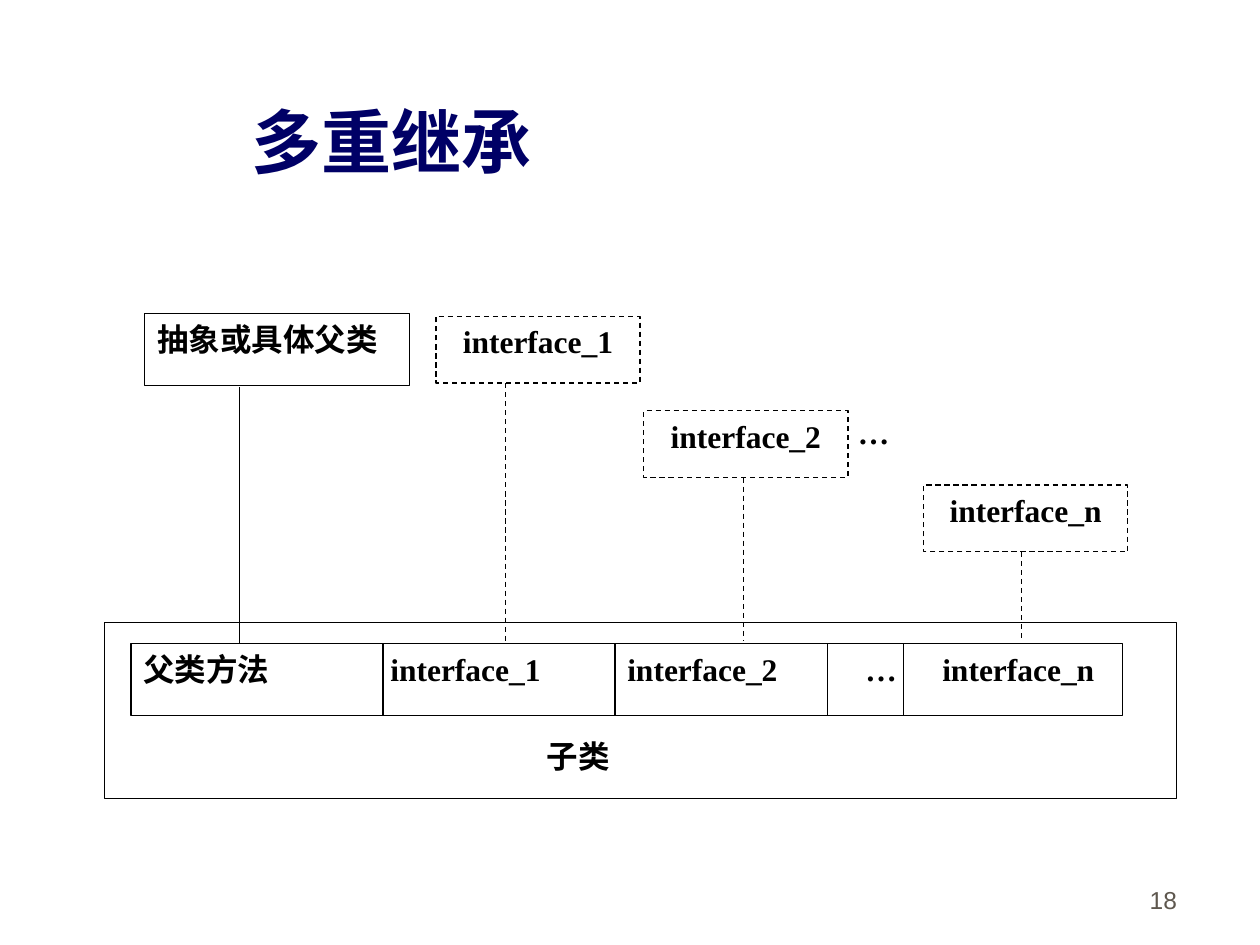
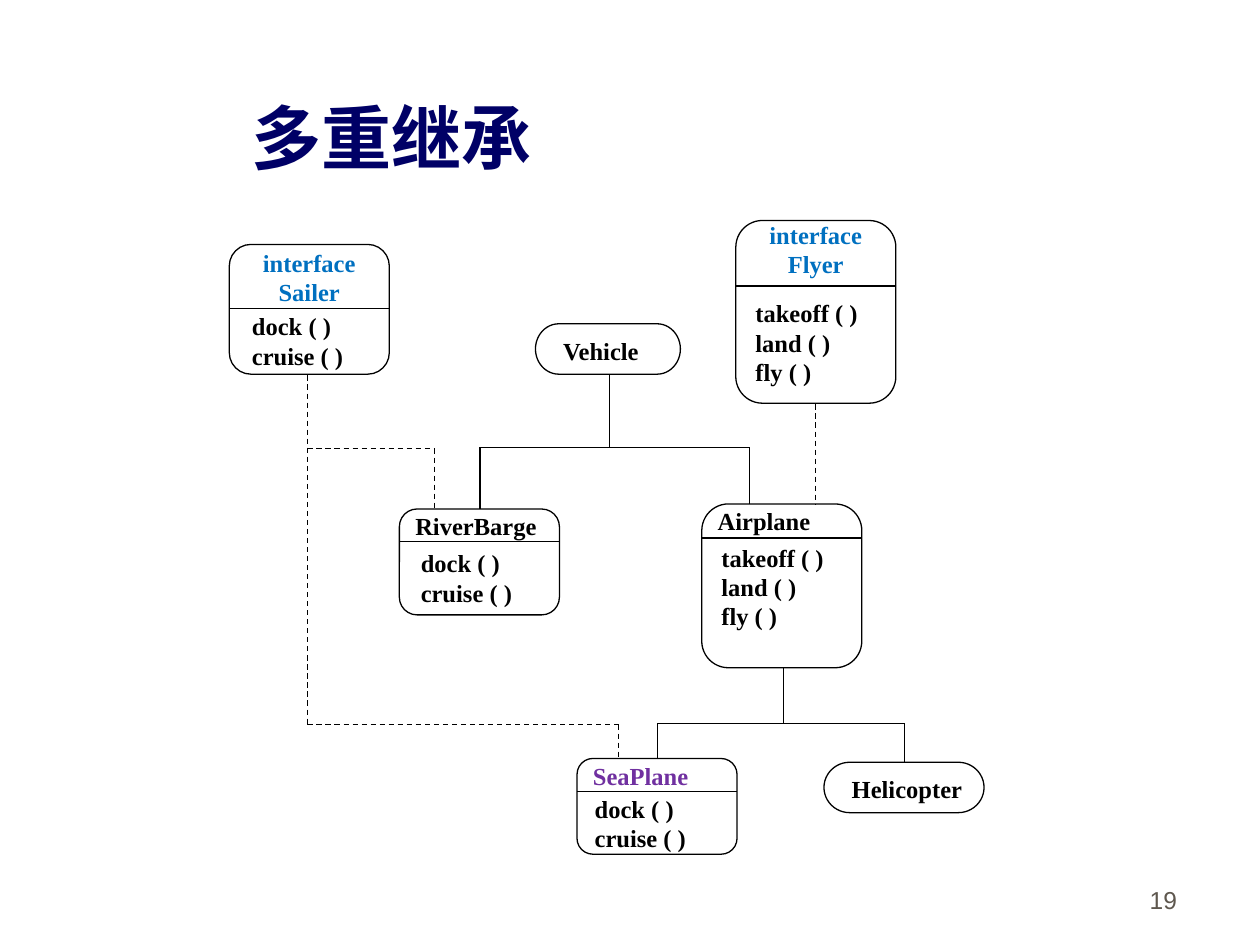
from dataclasses import dataclass

from lxml import etree
from pptx import Presentation
from pptx import util as u
from pptx.dml.color import RGBColor
from pptx.enum import dml, shapes, text
from pptx.oxml import ns

COLUMNS, ROWS = 100, 75  # slide grid


@dataclass(frozen=True)
class Theme:
    navy: str = "000066"
    ink: str = "000000"
    paper: str = "FFFFFF"
    blue: str = "0070C0"
    purple: str = "7030A0"
    grey: str = "5E574E"
    serif: str = "Times New Roman"
    sans: str = "Arial"
    display: str = "Montserrat"
    title_size: int = 40
    label_size: int = 18
    class_size: int = 14
    rule: float = 0.75


@dataclass(frozen=True)
class Box:
    """An area in columns and rows of the slide grid."""
    x: float
    y: float
    w: float
    h: float

    def inner(self, x, y, w, h):
        return Box(self.x + x, self.y + y, w, h)

    def point(self, x, y):
        return self.x + x, self.y + y


THEME = Theme()
RECT = shapes.MSO_SHAPE.RECTANGLE
ROUNDED = shapes.MSO_SHAPE.FLOWCHART_ALTERNATE_PROCESS
PILL = shapes.MSO_SHAPE.FLOWCHART_TERMINATOR
LEFT, CENTER, RIGHT, JUSTIFY = (text.PP_ALIGN.LEFT, text.PP_ALIGN.CENTER,
                                text.PP_ALIGN.RIGHT, text.PP_ALIGN.JUSTIFY)

deck = Presentation()
deck.slide_width, deck.slide_height = u.Inches(10), u.Inches(7.5)
COLUMN, ROW = deck.slide_width / COLUMNS, deck.slide_height / ROWS


def emu(box):
    return [u.Emu(round(length)) for length in
            (box.x * COLUMN, box.y * ROW, box.w * COLUMN, box.h * ROW)]


def style_line(line, dashed=False):
    line.color.rgb = RGBColor.from_string(THEME.ink)
    line.width = u.Pt(THEME.rule)
    if dashed:
        line.dash_style = dml.MSO_LINE.DASH


def write(holder, lines, size=THEME.label_size, color=THEME.ink,
          font=THEME.serif, bold=True, align=JUSTIFY,
          anchor=text.MSO_ANCHOR.TOP):
    frame = holder.text_frame
    frame.word_wrap = True
    frame.vertical_anchor = anchor
    for number, line in enumerate(lines):
        paragraph = frame.add_paragraph() if number else frame.paragraphs[0]
        paragraph.alignment = align
        run = paragraph.add_run()
        run.text = line
        run.font.name, run.font.size, run.font.bold = font, u.Pt(size), bold
        run.font.color.rgb = RGBColor.from_string(color)


def label(slide, box, lines, **style):
    write(slide.shapes.add_textbox(*emu(box)), lines, **style)


def outline(slide, kind, box, fill=None, lined=True, dashed=False):
    area = slide.shapes.add_shape(kind, *emu(box))
    area.shadow.inherit = False
    if fill:
        area.fill.solid()
        area.fill.fore_color.rgb = RGBColor.from_string(fill)
    else:
        area.fill.background()
    if lined:
        style_line(area.line, dashed)
    else:
        area.line.fill.background()
    return area


def route(slide, *points, dashed=False):
    """Straight connectors from each point to the next."""
    for (x1, y1), (x2, y2) in zip(points, points[1:]):
        link = slide.shapes.add_connector(
            shapes.MSO_CONNECTOR.STRAIGHT,
            *emu(Box(x1, y1, x2, y2)))
        style_line(link.line, dashed)
        etree.SubElement(link._element.spPr, ns.qn("a:effectLst"))


def set_tabs(paragraph, stops):
    tabs = etree.SubElement(paragraph._p.get_or_add_pPr(), ns.qn("a:tabLst"))
    for stop in stops:
        etree.SubElement(tabs, ns.qn("a:tab"), pos=str(round(stop * COLUMN)),
                         algn="l")


def new_slide(number, title_box, title_font):
    slide = deck.slides.add_slide(deck.slide_layouts[6])
    label(slide, Box(73.6, 68.1, 20.8, 5), [number], size=THEME.class_size,
          color=THEME.grey, font=THEME.sans, bold=False, align=RIGHT,
          anchor=text.MSO_ANCHOR.BOTTOM)
    label(slide, title_box, ["多重继承"], size=THEME.title_size,
          color=THEME.navy, font=title_font, align=LEFT,
          anchor=text.MSO_ANCHOR.BOTTOM)
    return slide


def parent_types(slide, box):
    """Superclass and interfaces, each dropping a line to the subclass."""
    superclass = outline(slide, RECT, box.inner(3.2, 0, 21, 5.7), THEME.paper)
    write(superclass, ["抽象或具体父类"])
    route(slide, box.point(10.7, 5.8), box.point(10.7, 26.2))
    for name, x, y, drop_x, drop_end in (
            ("interface_1", 26.3, 0.2, 31.8, 26.2),
            ("interface_2", 42.8, 7.7, 50.7, 26),
            ("interface_n", 65, 13.6, 72.8, 26)):
        interface = outline(slide, RECT, box.inner(x, y, 16.2, 5.3),
                            THEME.paper, dashed=True)
        write(interface, [name], align=CENTER)
        route(slide, box.point(drop_x, y + 5.3), box.point(drop_x, drop_end),
              dashed=True)
    label(slide, box.inner(58.8, 7.4, 11.9, 5.5), ["…"])


def subclass(slide, box):
    """Subclass frame with a strip of inherited members."""
    outline(slide, RECT, box)
    strip = box.inner(2.1, 1.7, 78.7, 5.7)
    members = outline(slide, RECT, strip, THEME.paper)
    write(members, ["\t".join(("父类方法", "interface_1", "interface_2",
                               "…", "interface_n"))], align=LEFT)
    set_tabs(members.text_frame.paragraphs[0], (19.6, 38.4, 57.3, 63.4))
    for divider in (20, 38.4, 55.3, 61.3):
        route(slide, strip.point(divider, 0), strip.point(divider, strip.h))
    label(slide, box.inner(34.1, 8.6, 11.9, 5.5), ["子类"])


def class_card(slide, box, names, methods, rule, method_x=0.1, method_y=-0.6,
               name_y=-0.6, color=THEME.ink):
    """Name above a rule, methods below it; interface names are centred."""
    outline(slide, ROUNDED, box)
    heading = outline(slide, ROUNDED, box.inner(0, name_y, box.w, 5.7),
                      lined=False)
    write(heading, names, size=THEME.class_size, color=color,
          align=CENTER if len(names) > 1 else JUSTIFY)
    route(slide, box.point(0, rule), box.point(box.w, rule))
    body = outline(slide, ROUNDED,
                   box.inner(method_x, rule + method_y, 12,
                             3.3 + 3.2 * (len(methods) - 1)), lined=False)
    write(body, methods, size=THEME.class_size)


def class_pill(slide, box, name):
    outline(slide, PILL, box)
    caption = outline(slide, ROUNDED, box.inner(1, 0.25, box.w - 1.4, 4.5),
                      lined=False)
    write(caption, [name], size=THEME.class_size)


def class_tree(slide, box):
    sailing = ["dock ( )", "cruise ( )"]
    flying = ["takeoff ( )", "land ( )", "fly ( )"]

    # Interfaces
    class_card(slide, box.inner(0, 1.9, 12.7, 10.3), ["interface", "Sailer"],
               sailing, 5.1, method_x=0.5, name_y=-0.5, color=THEME.blue)
    class_card(slide, box.inner(40.2, 0, 12.7, 14.5), ["interface", "Flyer"],
               flying, 5.2, method_y=0, name_y=-0.8, color=THEME.blue)

    # Classes
    class_pill(slide, box.inner(24.3, 8.2, 11.5, 4), "Vehicle")
    class_card(slide, box.inner(13.5, 22.9, 12.7, 8.4), ["RiverBarge"],
               sailing, 2.6, method_x=0.4, method_y=-0.3)
    class_card(slide, box.inner(37.5, 22.5, 12.7, 13), ["Airplane"],
               flying, 2.7)
    class_card(slide, box.inner(27.6, 42.7, 12.7, 7.6), ["SeaPlane"],
               sailing, 2.6, color=THEME.purple)
    class_pill(slide, box.inner(47.2, 43, 12.7, 4), "Helicopter")

    # Inheritance: parent drop, then the branch over its two children
    for parent_x, parent_y, bus, left, left_y, right, right_y in (
            (30.2, 12.2, 18, 19.9, 22.9, 41.3, 22.5),
            (44, 35.5, 39.9, 34, 42.7, 53.6, 43)):
        route(slide, box.point(parent_x, parent_y), box.point(parent_x, bus))
        route(slide, box.point(left, left_y), box.point(left, bus),
              box.point(right, bus), box.point(right, right_y))

    # Implementation of the interfaces
    route(slide, box.point(6.2, 12.3), box.point(6.2, 40),
          box.point(30.9, 40), box.point(30.9, 42.7), dashed=True)
    route(slide, box.point(6.2, 18.1), box.point(16.3, 18.1),
          box.point(16.3, 22.9), dashed=True)
    route(slide, box.point(46.5, 14.6), box.point(46.5, 22.6), dashed=True)


# Inheritance scheme
scheme = new_slide("18", Box(19, 2.5, 70.4, 12.5), THEME.display)
parent_types(scheme, Box(8.3, 24.9, 85.1, 26.2))
subclass(scheme, Box(8.3, 49.4, 85.1, 14))

# Vehicle example
example = new_slide("19", Box(19, 7, 46.6, 7.7), THEME.serif)
class_tree(example, Box(18.2, 17.5, 59.9, 50.3))

deck.save("out.pptx")
